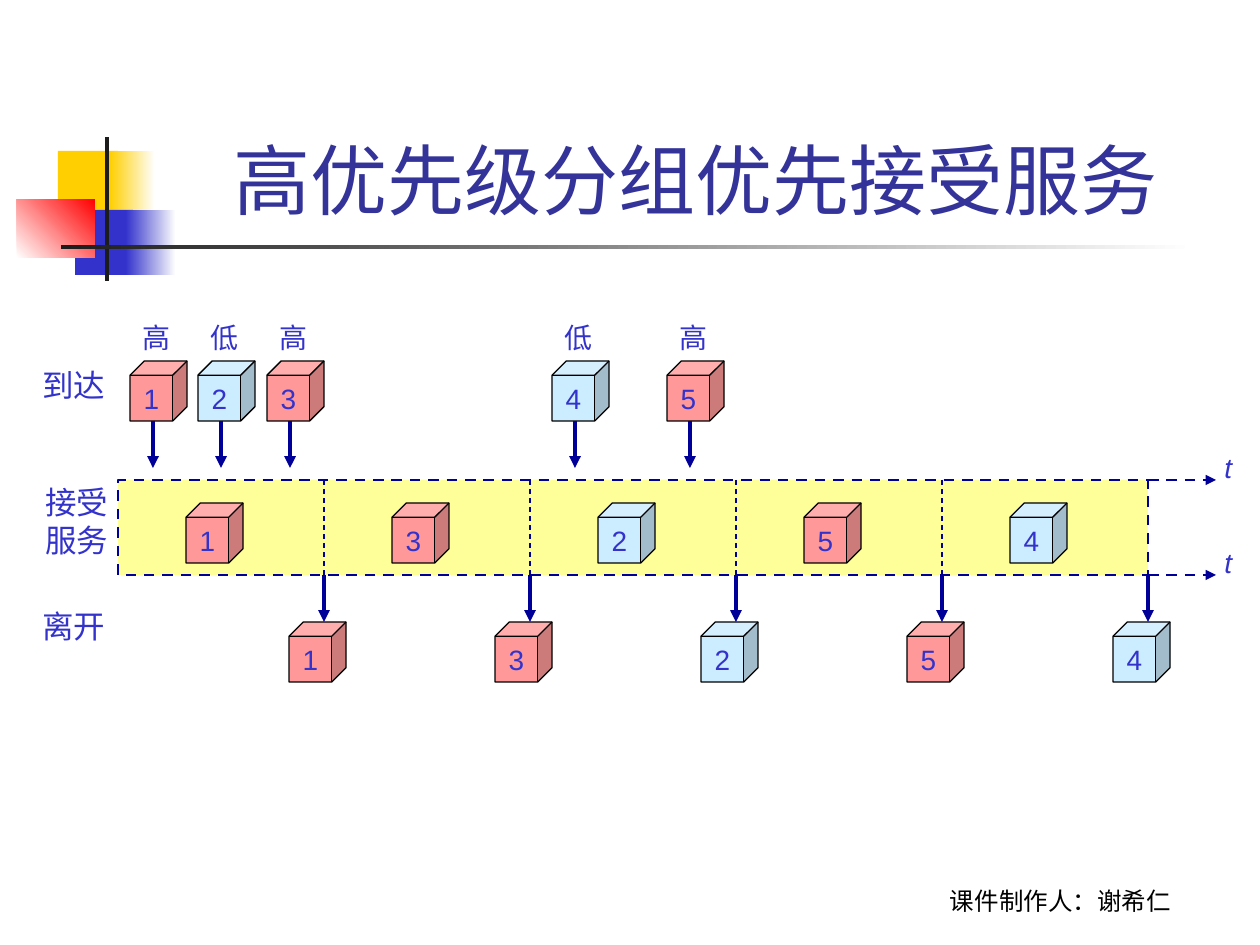
from dataclasses import dataclass

from lxml import etree
from pptx import Presentation
from pptx.dml.color import RGBColor
from pptx.enum.dml import MSO_LINE
from pptx.enum.shapes import MSO_CONNECTOR, MSO_SHAPE
from pptx.enum.text import MSO_ANCHOR, MSO_AUTO_SIZE, PP_ALIGN
from pptx.oxml.ns import qn
from pptx.slide import Slide
from pptx.text.text import TextFrame
from pptx.util import Emu, Pt

CUBE, RECT, STRAIGHT = MSO_SHAPE.CUBE, MSO_SHAPE.RECTANGLE, MSO_CONNECTOR.STRAIGHT
DASH = MSO_LINE.DASH
MIDDLE, BOTTOM, CENTER = MSO_ANCHOR.MIDDLE, MSO_ANCHOR.BOTTOM, PP_ALIGN.CENTER
NO_FIT, FIT_SHAPE = MSO_AUTO_SIZE.NONE, MSO_AUTO_SIZE.SHAPE_TO_FIT_TEXT

BLACK, WHITE = RGBColor(0, 0, 0), RGBColor(255, 255, 255)
GOLD, RED = RGBColor(0xFF, 0xCF, 0x01), RGBColor(0xFF, 0, 0)
BLUE, INK = RGBColor(0x33, 0x33, 0xCC), RGBColor(0x1C, 0x1C, 0x1C)
TITLE_BLUE, NAVY = RGBColor(0x33, 0x33, 0x99), RGBColor(0, 0, 0x99)
PINK, PALE_BLUE = RGBColor(0xFF, 0x99, 0x99), RGBColor(0xCC, 0xEC, 0xFF)
PALE_YELLOW = RGBColor(0xFF, 0xFF, 0x99)

EMU_PER_PX = 914400 / 126
CUBE_W, CUBE_H = 57, 60
ARRIVAL_TOP, SERVICE_TOP, DEPARTURE_TOP = 361, 503, 622
BAND_LEFT, BAND_TOP, BAND_H, SLOT_W = 118, 480, 95, 206
BAND_BOTTOM = BAND_TOP + BAND_H
AXIS_END = 1216


@dataclass(frozen=True)
class Block:
    left: int
    top: int
    width: int
    height: int
    start: RGBColor
    end: RGBColor | None = None
    angle: int = 0


@dataclass(frozen=True)
class Packet:
    number: int
    arrival: int
    high: bool


@dataclass(frozen=True)
class Label:
    left: int
    top: int
    width: int
    height: int
    text: str
    size: int = 18
    italic: bool = False


BLOCKS = (
    Block(58, 151, 60, 66, GOLD),
    Block(110, 151, 45, 66, GOLD, WHITE),
    Block(75, 210, 58, 65, BLUE),
    Block(126, 210, 50, 65, BLUE, WHITE),
    Block(17, 199, 78, 59, WHITE, RED, 45),
    Block(105, 137, 4, 144, INK),
    Block(61, 245, 1134, 4, INK, WHITE),
)
PACKETS = (
    Packet(1, 130, True),
    Packet(2, 198, False),
    Packet(3, 267, True),
    Packet(4, 552, False),
    Packet(5, 667, True),
)
SERVICE_ORDER = (1, 3, 2, 5, 4)
LABELS = (
    Label(30, 360, 88, 50, "到达"),
    Label(33, 477, 88, 88, "接受\n服务"),
    Label(30, 601, 88, 50, "离开"),
    Label(1212, 444, 33, 46, "t", 16, True),
    Label(1212, 539, 33, 46, "t", 16, True),
)


def px(value: int) -> Emu:
    """Turn pixels into EMU."""
    return Emu(round(value * EMU_PER_PX))


def write(frame: TextFrame, text: str, size: int, color: RGBColor = BLUE,
          font: str = "Arial", align: PP_ALIGN | None = None, italic: bool = False) -> None:
    """Fill a text frame with evenly formatted paragraphs."""
    frame.text = text
    for paragraph in frame.paragraphs:
        paragraph.alignment = align
        paragraph.font.name = font
        paragraph.font.size = Pt(size)
        paragraph.font.color.rgb = color
        if italic:
            paragraph.font.italic = True


def draw_block(slide: Slide, block: Block) -> None:
    """Draw one plain or gradient block of the title ornament."""
    shape = slide.shapes.add_shape(
        RECT, px(block.left), px(block.top), px(block.width), px(block.height))
    shape.shadow.inherit = False
    shape.line.fill.background()
    if block.end is None:
        shape.fill.solid()
        shape.fill.fore_color.rgb = block.start
        return
    shape.fill.gradient()
    shape.fill.gradient_angle = block.angle
    for stop, color in zip(shape.fill.gradient_stops, (block.start, block.end)):
        stop.color.rgb = color


def draw_label(slide: Slide, label: Label) -> None:
    """Draw one unwrapped label."""
    box = slide.shapes.add_textbox(
        px(label.left), px(label.top), px(label.width), px(label.height))
    box.text_frame.word_wrap = False
    box.text_frame.auto_size = FIT_SHAPE
    write(box.text_frame, label.text, label.size, italic=label.italic)


def draw_packet(slide: Slide, packet: Packet, left: int, top: int) -> None:
    """Draw a numbered cube in the colour of its priority."""
    cube = slide.shapes.add_shape(CUBE, px(left), px(top), px(CUBE_W), px(CUBE_H))
    cube.shadow.inherit = False
    cube.fill.solid()
    cube.fill.fore_color.rgb = PINK if packet.high else PALE_BLUE
    cube.line.color.rgb = BLACK
    cube.line.width = Pt(0.75)
    cube.text_frame.word_wrap = False
    cube.text_frame.vertical_anchor = MIDDLE
    write(cube.text_frame, str(packet.number), 16, align=CENTER)


def draw_line(slide: Slide, start: tuple[int, int], end: tuple[int, int], width: float,
              dashed: bool = False, arrow: bool = True) -> None:
    """Draw a navy line, with an arrowhead at its end if wanted."""
    line = slide.shapes.add_connector(STRAIGHT, *map(px, start + end))
    line.line.color.rgb = NAVY
    line.line.width = Pt(width)
    if dashed:
        line.line.dash_style = DASH
    if arrow:
        etree.SubElement(line.line._get_or_add_ln(), qn("a:tailEnd"), type="triangle")
    etree.SubElement(line._element.spPr, qn("a:effectLst"))


def draw_arrivals(slide: Slide) -> None:
    """Draw each arriving packet with its priority and arrow."""
    for packet in PACKETS:
        center = packet.arrival + 23
        draw_label(slide, Label(packet.arrival, 314, 53, 46, "高" if packet.high else "低", 16))
        draw_packet(slide, packet, packet.arrival, ARRIVAL_TOP)
        draw_line(slide, (center, ARRIVAL_TOP + CUBE_H), (center, 468), 2.25)


def draw_service(slide: Slide) -> None:
    """Draw the service band and the packets served and leaving."""
    band_right = BAND_LEFT + SLOT_W * len(SERVICE_ORDER)
    band = slide.shapes.add_shape(
        RECT, px(BAND_LEFT), px(BAND_TOP), px(band_right - BAND_LEFT), px(BAND_H))
    band.shadow.inherit = False
    band.fill.solid()
    band.fill.fore_color.rgb = PALE_YELLOW
    band.line.color.rgb = NAVY
    band.line.width = Pt(1.5)
    band.line.dash_style = DASH
    packets = {packet.number: packet for packet in PACKETS}
    for slot, number in enumerate(SERVICE_ORDER):
        slot_left = BAND_LEFT + slot * SLOT_W
        finish = slot_left + SLOT_W
        if finish < band_right:
            draw_line(slide, (finish, BAND_TOP), (finish, BAND_BOTTOM), 0.75, True, False)
        draw_packet(slide, packets[number], slot_left + 68, SERVICE_TOP)
        draw_line(slide, (finish, BAND_BOTTOM), (finish, DEPARTURE_TOP), 2.25)
        draw_packet(slide, packets[number], finish - 35, DEPARTURE_TOP)
    for level in (BAND_TOP, BAND_BOTTOM):
        draw_line(slide, (band_right, level), (AXIS_END, level), 1.5, True)


def main() -> None:
    """Build the priority queueing slide."""
    deck = Presentation()
    deck.slide_width, deck.slide_height = px(1260), px(945)
    slide = deck.slides.add_slide(deck.slide_layouts[5])
    for block in BLOCKS:
        draw_block(slide, block)
    title = slide.shapes.title
    title.left, title.top, title.width, title.height = map(px, (159, 29, 1074, 202))
    title.text_frame.vertical_anchor = BOTTOM
    title.text_frame.auto_size = NO_FIT
    write(title.text_frame, "高优先级分组优先接受服务", 44, TITLE_BLUE, align=CENTER)
    draw_arrivals(slide)
    draw_service(slide)
    for label in LABELS:
        draw_label(slide, label)
    credit = slide.shapes.add_textbox(px(861), px(859), px(399), px(63)).text_frame
    credit.word_wrap = True
    credit.vertical_anchor = BOTTOM
    write(credit, "课件制作人：谢希仁", 14, BLACK, "Cabin", CENTER)
    deck.save("out.pptx")


if __name__ == "__main__":
    main()
